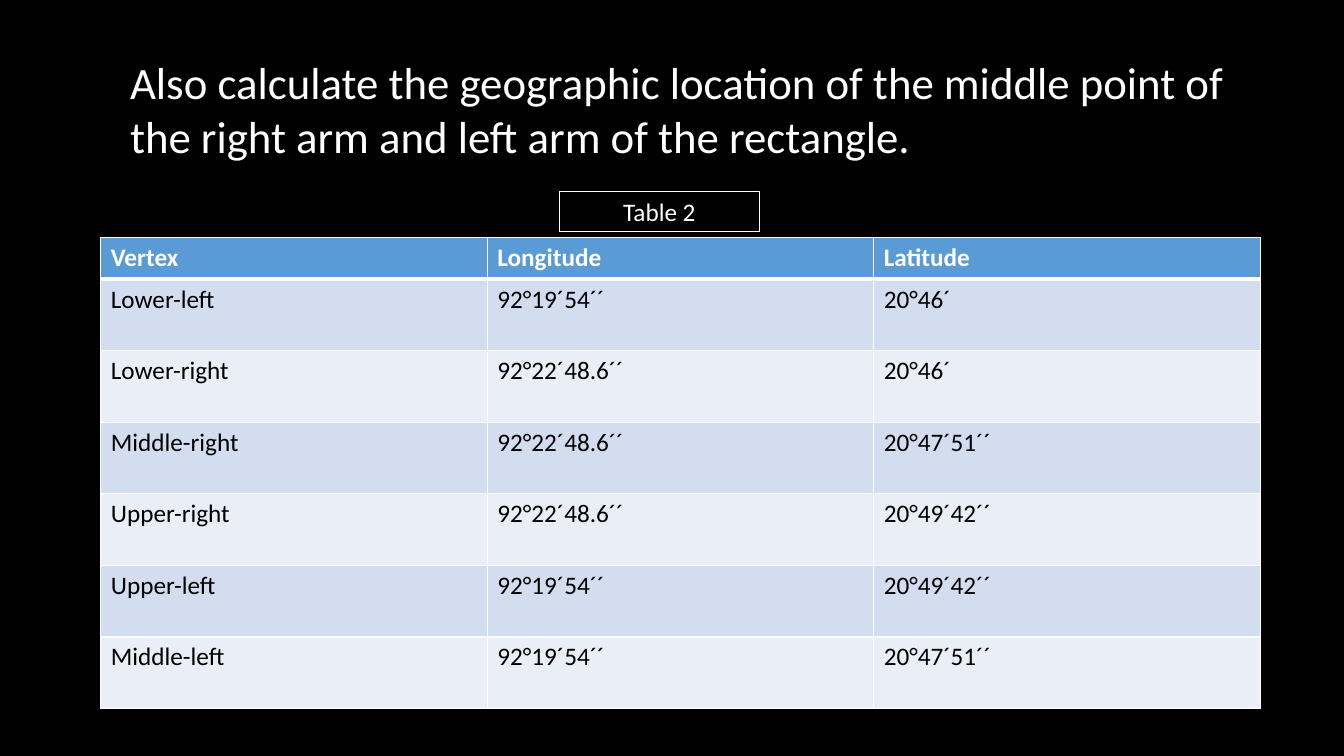
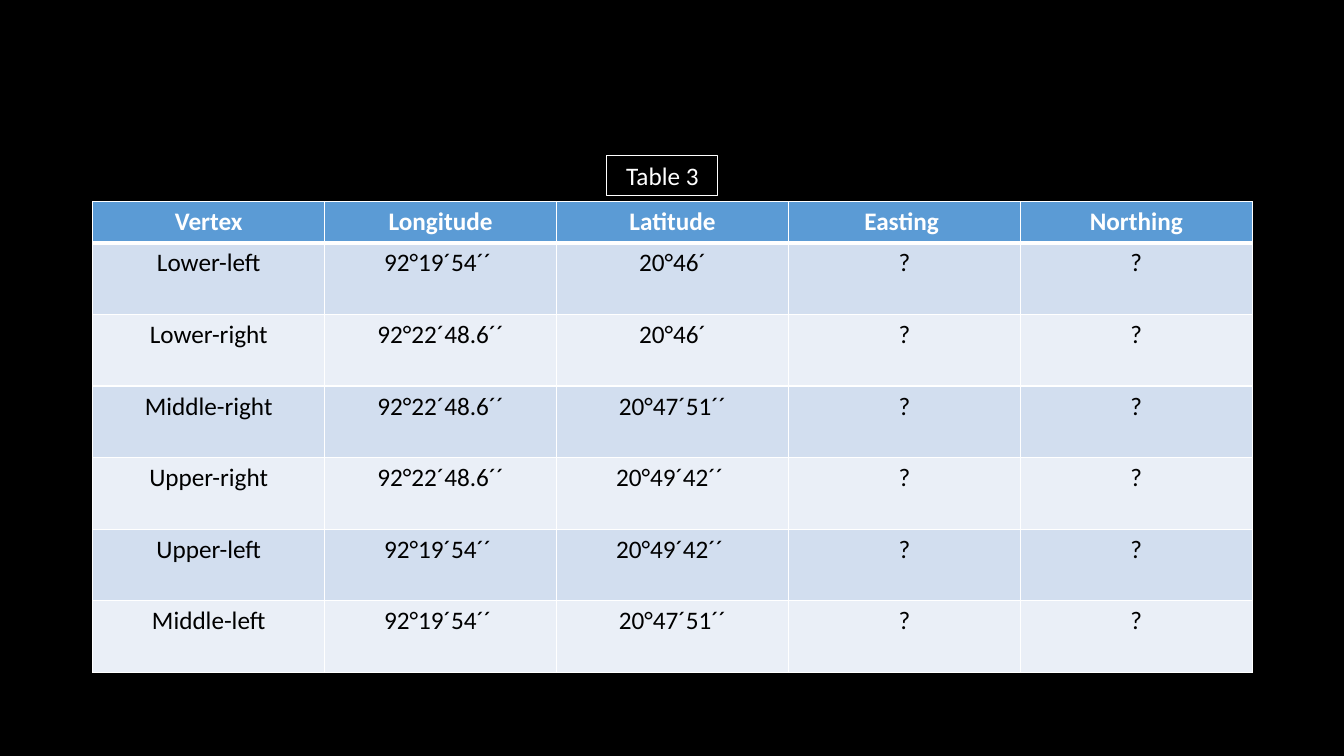
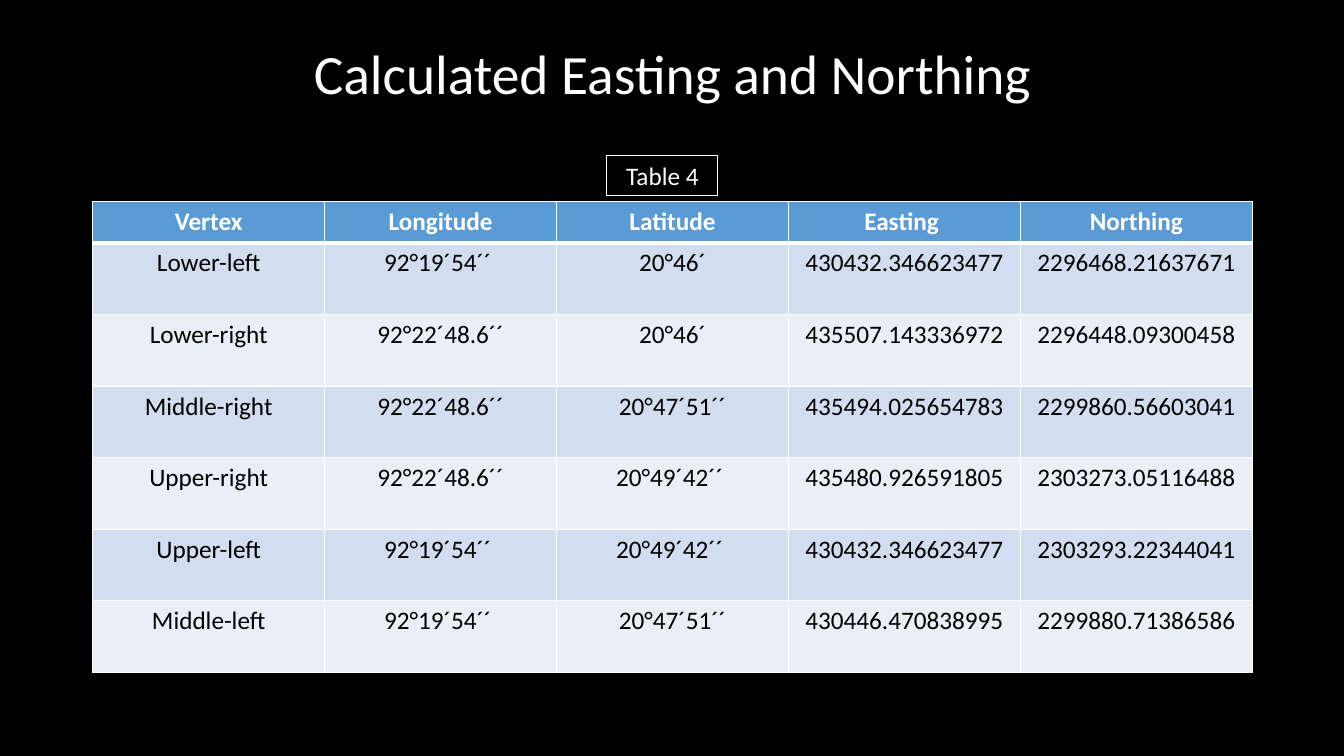
from lxml import etree
from pptx import Presentation
from pptx.dml.color import RGBColor
from pptx.enum.shapes import MSO_SHAPE
from pptx.enum.text import MSO_ANCHOR, MSO_AUTO_SIZE, PP_ALIGN
from pptx.oxml.ns import qn
from pptx.util import Inches, Pt

COLORS = {
    "background": "000000",
    "light": "FFFFFF",
    "dark": "000000",
    "header": "5B9BD5",
    "odd_row": "D2DEEF",
    "even_row": "EAEFF7",
}
TABLE_WIDTH = 11.5
HEADER_HEIGHT, ROW_HEIGHT = 0.41, 0.71
TITLE_ONLY, BLANK = 5, 6

HEADINGS = ["Vertex", "Longitude", "Latitude", "Easting ", "Northing"]
VERTICES = [
    ["Lower-left", "92°19´54´´ ", "20°46´"],
    ["Lower-right", "92°22´48.6´´", "20°46´"],
    ["Middle-right", "92°22´48.6´´", "20°47´51´´"],
    ["Upper-right", "92°22´48.6´´", "20°49´42´´ "],
    ["Upper-left", "92°19´54´´ ", "20°49´42´´ "],
    ["Middle-left", "92°19´54´´ ", "20°47´51´´"],
]
PROJECTED = [
    ["430432.346623477", "2296468.21637671"],
    ["435507.143336972", "2296448.09300458"],
    ["435494.025654783", "2299860.56603041"],
    ["435480.926591805", "2303273.05116488"],
    ["430432.346623477", "2303293.22344041"],
    ["430446.470838995", "2299880.71386586"],
]

SLIDES = [
    {
        "title": {
            "text": "Also calculate the geographic location of the middle point of "
                    "the right arm and left arm of the rectangle.",
            "box": (1.19, 0.49, 11.5, 1.18), "size": 32, "align": PP_ALIGN.LEFT,
            "anchor": MSO_ANCHOR.TOP, "spacing": 1.0,
        },
        "caption": ("Table 2", (5.55, 1.9, 1.98, 0.4)),
        "table_at": (1, 2.36),
        "align": PP_ALIGN.LEFT,
        "rows": [HEADINGS[:3]] + [[value.strip() for value in vertex] for vertex in VERTICES],
    },
    {
        "caption": ("Table 3", (6.02, 1.54, 1.1, 0.4)),
        "table_at": (0.92, 2),
        "align": PP_ALIGN.CENTER,
        "rows": [HEADINGS] + [vertex + ["?", "?"] for vertex in VERTICES],
    },
    {
        "title": {
            "text": "Calculated Easting and Northing",
            "box": (0.92, 0.4, 11.5, 0.71), "size": 39.6, "align": PP_ALIGN.CENTER,
            "anchor": MSO_ANCHOR.MIDDLE, "spacing": 0.9,
        },
        "caption": ("Table 4", (6.02, 1.54, 1.1, 0.4)),
        "table_at": (0.92, 2),
        "align": PP_ALIGN.CENTER,
        "rows": [HEADINGS] + [vertex + point for vertex, point in zip(VERTICES, PROJECTED)],
    },
]


def write(frame, text, size, color, align, bold=False):
    """Put one formatted paragraph into a text frame and return it."""
    frame.text = text
    paragraph = frame.paragraphs[0]
    paragraph.alignment = align
    for name, value in {"name": "Calibri", "size": Pt(size), "bold": bold}.items():
        setattr(paragraph.runs[0].font, name, value)
    paragraph.runs[0].font.color.rgb = RGBColor.from_string(COLORS[color])
    return paragraph


def border_cell(cell, top, bottom):
    """Draw light borders; top and bottom widths are in points."""
    properties = cell._tc.get_or_add_tcPr()
    widths = {"a:lnL": 1, "a:lnR": 1, "a:lnT": top, "a:lnB": bottom}
    for position, (side, width) in enumerate(widths.items()):
        line = etree.Element(qn(side), w=str(Pt(width)))
        fill = etree.SubElement(line, qn("a:solidFill"))
        etree.SubElement(fill, qn("a:srgbClr"), val=COLORS["light"])
        properties.insert(position, line)


prs = Presentation()
prs.slide_width, prs.slide_height = Inches(13.33), Inches(7.5)
background = prs.slide_master.background.fill
background.solid()
background.fore_color.rgb = RGBColor.from_string(COLORS["background"])

for content in SLIDES:
    heading = content.get("title")
    slide = prs.slides.add_slide(prs.slide_layouts[TITLE_ONLY if heading else BLANK])

    if heading:
        title = slide.shapes.title
        for side, length in zip(("left", "top", "width", "height"), heading["box"]):
            setattr(title, side, Inches(length))
        title_line = write(title.text_frame, heading["text"], heading["size"],
                           "light", heading["align"])
        title_line.line_spacing = heading["spacing"]
        title.text_frame.auto_size = MSO_AUTO_SIZE.NONE
        title.text_frame.vertical_anchor = heading["anchor"]

    rows = content["rows"]
    column_count = len(rows[0])
    table_height = HEADER_HEIGHT + ROW_HEIGHT * (len(rows) - 1)
    left, top = content["table_at"]
    table = slide.shapes.add_table(len(rows), column_count, Inches(left), Inches(top),
                                   Inches(TABLE_WIDTH), Inches(table_height)).table
    for column in table.columns:
        column.width = Inches(TABLE_WIDTH / column_count)
    for r, values in enumerate(rows):
        is_header = r == 0
        table.rows[r].height = Inches(HEADER_HEIGHT if is_header else ROW_HEIGHT)
        row_fill = "header" if is_header else "odd_row" if r % 2 else "even_row"
        for c, value in enumerate(values):
            cell = table.cell(r, c)
            write(cell.text_frame, value, 18, "light" if is_header else "dark",
                  content["align"], bold=is_header)
            cell.fill.solid()
            cell.fill.fore_color.rgb = RGBColor.from_string(COLORS[row_fill])
            border_cell(cell, top=3 if r == 1 else 1, bottom=3 if is_header else 1)

    caption_text, caption_box = content["caption"]
    caption = slide.shapes.add_shape(MSO_SHAPE.RECTANGLE, *map(Inches, caption_box))
    caption.shadow.inherit = False
    caption.fill.background()
    caption.line.color.rgb = RGBColor.from_string(COLORS["light"])
    caption.line.width = Pt(0.75)
    caption.text_frame.word_wrap = True
    write(caption.text_frame, caption_text, 18, "light", PP_ALIGN.CENTER)

prs.save("out.pptx")
